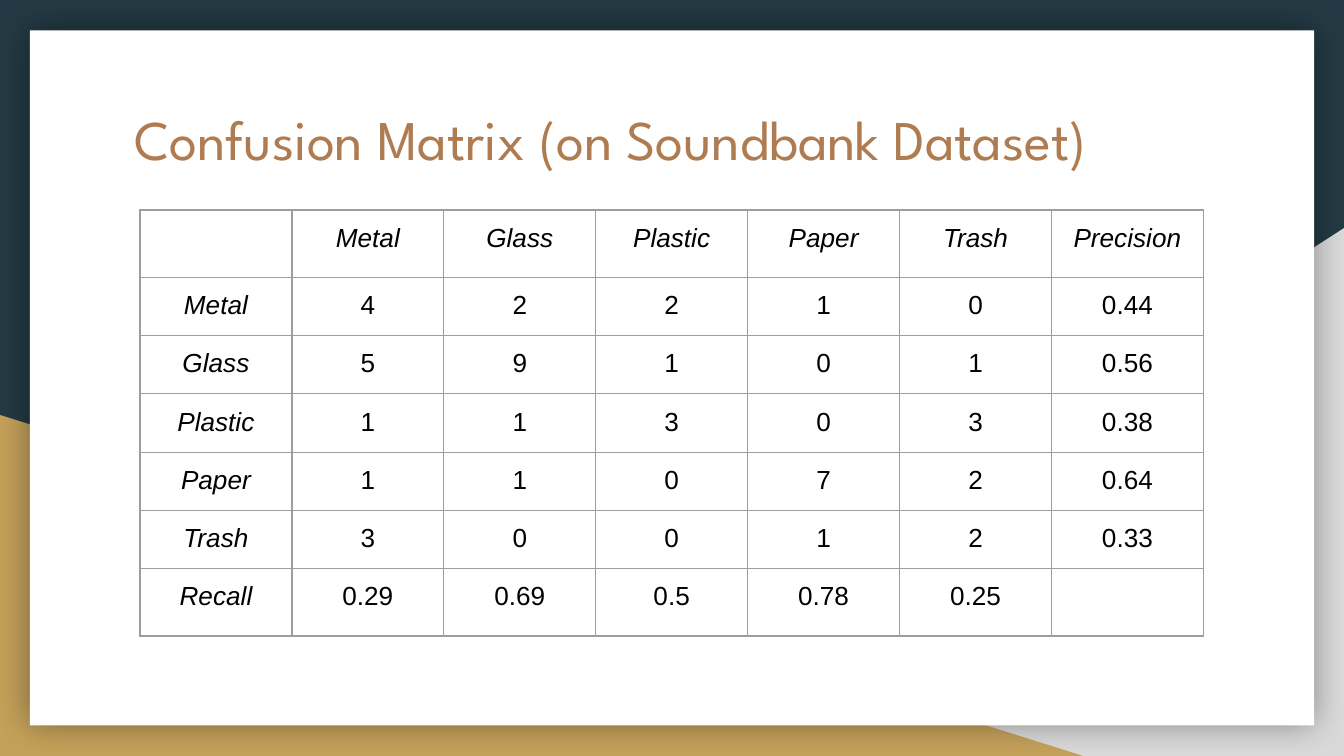
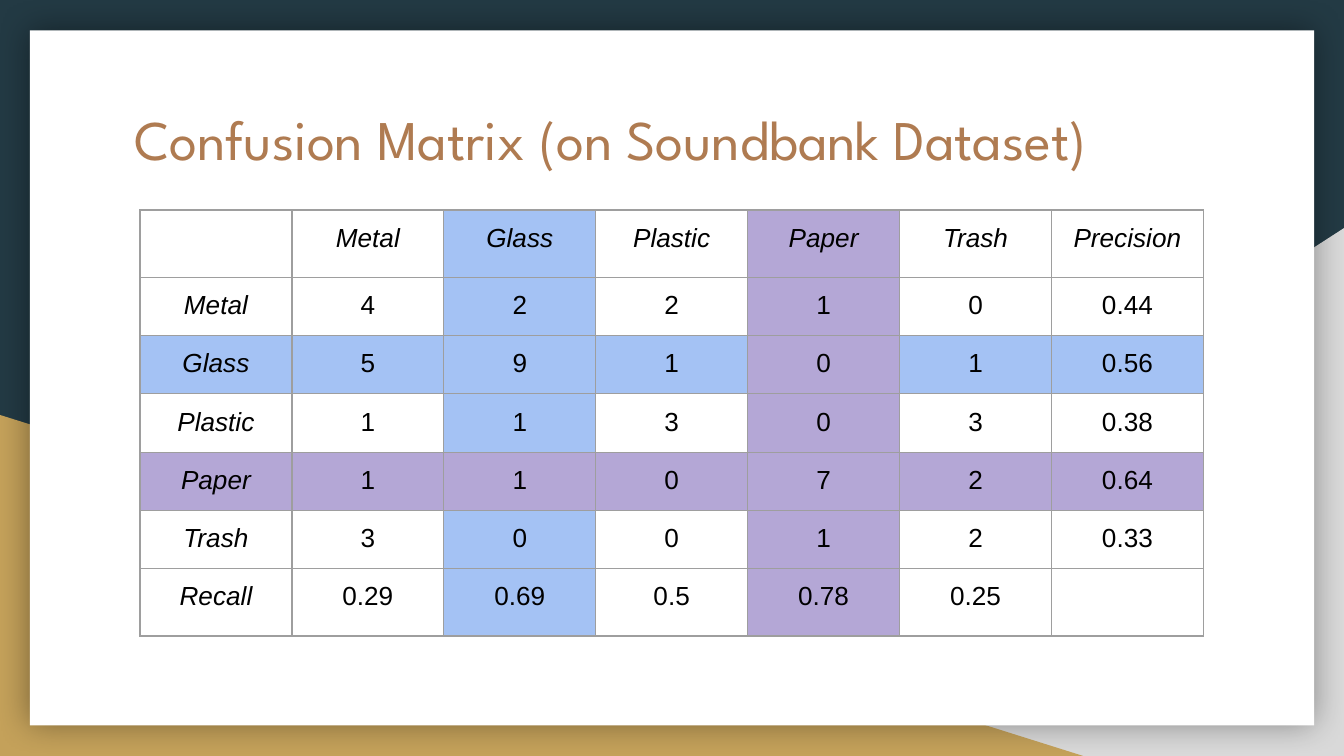
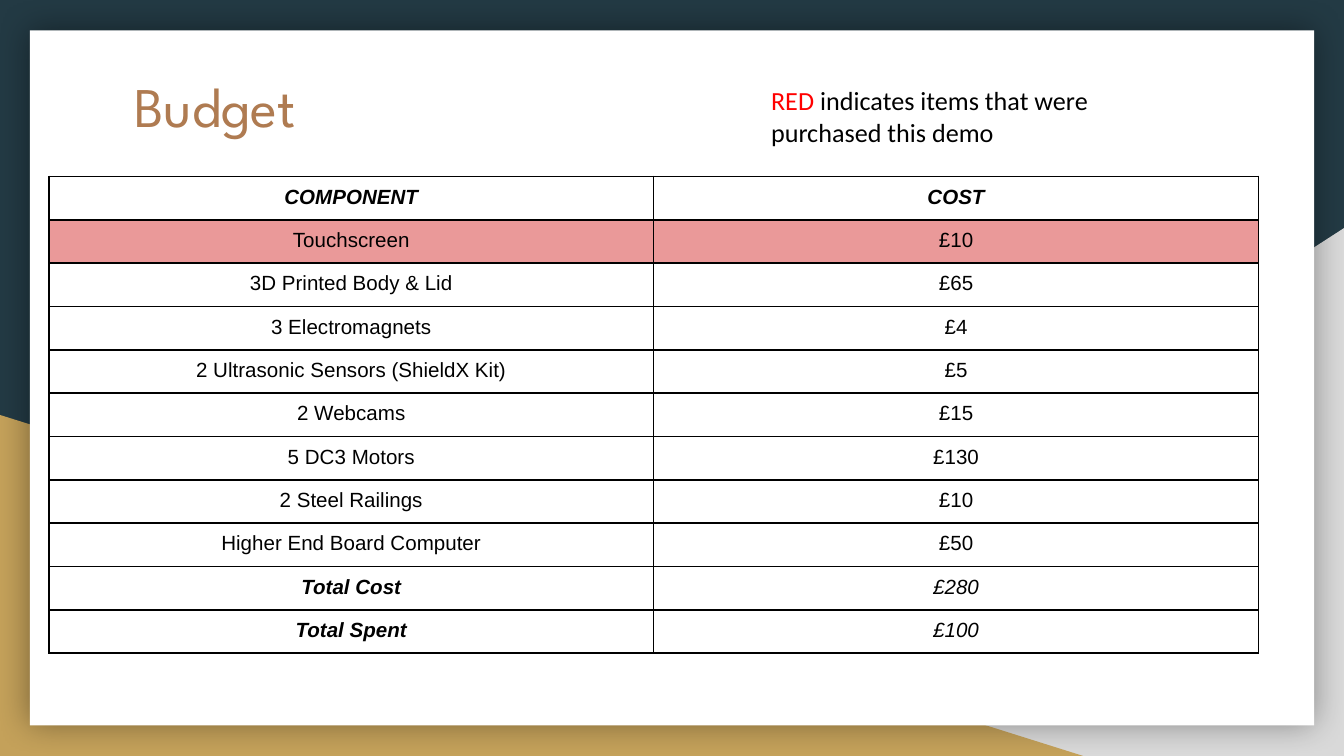
"""Build a three-slide deck with two confusion matrices and a budget."""
from dataclasses import dataclass

from lxml.etree import SubElement
from pptx import Presentation
from pptx.dml.color import RGBColor
from pptx.enum.shapes import MSO_SHAPE
from pptx.enum.text import MSO_ANCHOR, PP_ALIGN
from pptx.oxml.ns import qn
from pptx.util import Pt

MATRIX_TITLE = "Confusion Matrix (on Soundbank Dataset)"
MATRIX = [
    ("", "Metal", "Glass", "Plastic", "Paper", "Trash", "Precision"),
    ("Metal", "4", "2", "2", "1", "0", "0.44"),
    ("Glass", "5", "9", "1", "0", "1", "0.56"),
    ("Plastic", "1", "1", "3", "0", "3", "0.38"),
    ("Paper", "1", "1", "0", "7", "2", "0.64"),
    ("Trash", "3", "0", "0", "1", "2", "0.33"),
    ("Recall", "0.29", "0.69", "0.5", "0.78", "0.25", ""),
]
BUDGET_TITLE = "Budget"
BUDGET = [
    ("COMPONENT", "COST"),
    ("Touchscreen", "£10"),
    ("3D Printed Body & Lid", "£65"),
    ("3 Electromagnets", "£4"),
    ("2 Ultrasonic Sensors (ShieldX Kit)", "£5"),
    ("2 Webcams", "£15"),
    ("5 DC3 Motors", "£130"),
    ("2 Steel Railings", "£10"),
    ("Higher End Board Computer", "£50"),
    ("Total Cost", "£280"),
    ("Total Spent", "£100"),
]
PURCHASED = {"Touchscreen"}
NOTE = [("RED ", "red"), ("indicates items that were purchased this demo", "black")]


@dataclass(frozen=True)
class Theme:
    """Colours, fonts and type sizes."""
    navy: str = "233A44"
    grey: str = "D9D9D9"
    gold: str = "C4A15A"
    white: str = "FFFFFF"
    black: str = "000000"
    red: str = "FF0000"
    bronze: str = "AF7B51"
    rule: str = "9E9E9E"
    blue: str = "A4C2F4"
    purple: str = "B4A7D6"
    pink: str = "EA9999"
    title_font: str = "League Spartan"
    table_font: str = "Arial"
    note_font: str = "Calibri"
    title_size: float = 30
    body_size: float = 14
    small_size: float = 11


THEME = Theme()
HIGHLIGHTS = {"Glass": THEME.blue, "Paper": THEME.purple}
BACKDROP = [
    (MSO_SHAPE.RIGHT_TRIANGLE, (282.2, 122.2, 437.8, 282.8), THEME.grey, True),
    (MSO_SHAPE.RIGHT_TRIANGLE, (0, 222.3, 580.3, 182.7), THEME.gold, False),
    (MSO_SHAPE.RECTANGLE, (16, 16.2, 688, 372.4), THEME.white, False),
]


def points(values):
    return [Pt(value) for value in values]


def add_span(para, text, color, **formats):
    span = para.add_run()
    span.text = text
    for name, value in formats.items():
        setattr(span.font, name, value)
    span.font.color.rgb = RGBColor.from_string(color)


def add_box(page, area, spans, **formats):
    frame = page.shapes.add_textbox(*points(area)).text_frame
    settings = {"word_wrap": True, "vertical_anchor": MSO_ANCHOR.TOP}
    settings |= {f"margin_{side}": Pt(7.2) for side in ("left", "top", "right", "bottom")}
    for name, value in settings.items():
        setattr(frame, name, value)
    for text, color in spans:
        add_span(frame.paragraphs[0], text, color, **formats)


def add_glow(shape):
    effects = shape._element.spPr.find(qn("a:effectLst"))
    shadow = SubElement(effects, qn("a:outerShdw"), blurRad=str(Pt(18)), dist="0",
                        algn="ctr", rotWithShape="0")
    color = SubElement(shadow, qn("a:srgbClr"), val=THEME.black)
    SubElement(color, qn("a:alpha"), val="40000")


def add_page(deck, title, title_top):
    page = deck.slides.add_slide(deck.slide_layouts[6])
    page.background.fill.solid()
    page.background.fill.fore_color.rgb = RGBColor.from_string(THEME.navy)
    for kind, area, color, flipped in BACKDROP:
        shape = page.shapes.add_shape(kind, *points(area))
        shape.shadow.inherit = False
        shape.fill.solid()
        shape.fill.fore_color.rgb = RGBColor.from_string(color)
        shape.line.fill.background()
        if flipped:
            shape._element.spPr.xfrm.set("flipH", "1")
    add_glow(shape)
    add_box(page, (64.8, title_top, 591, 75), [(title, THEME.bronze)],
            name=THEME.title_font, size=Pt(THEME.title_size))
    return page


def add_borders(cell, color, width):
    properties = cell._tc.get_or_add_tcPr()
    for side in ("lnL", "lnR", "lnT", "lnB"):
        line = SubElement(properties, qn(f"a:{side}"), w=str(Pt(width)))
        fill = SubElement(line, qn("a:solidFill"))
        SubElement(fill, qn("a:srgbClr"), val=color)


def add_grid(page, rows, origin, column_width, heights, inset, border, size, style):
    area = (*origin, column_width * len(rows[0]), sum(heights))
    table = page.shapes.add_table(len(rows), len(rows[0]), *points(area)).table
    table.first_row = table.horz_banding = False
    for column in table.columns:
        column.width = Pt(column_width)
    for row_index, values in enumerate(rows):
        table.rows[row_index].height = Pt(heights[row_index])
        for column_index, text in enumerate(values):
            cell = table.cell(row_index, column_index)
            for side in ("left", "top", "right", "bottom"):
                setattr(cell, f"margin_{side}", Pt(inset))
            add_borders(cell, *border)
            color, formats = style(row_index, column_index)
            cell.fill.solid()
            cell.fill.fore_color.rgb = RGBColor.from_string(color)
            para = cell.text_frame.paragraphs[0]
            para.alignment = PP_ALIGN.CENTER
            if text:
                add_span(para, text, THEME.black, name=THEME.table_font,
                         size=Pt(size), **formats)


def add_matrix_page(deck, highlights):
    def style(row, column):
        color = THEME.white
        for name, tint in highlights.items():
            if name in (MATRIX[row][0], MATRIX[0][column]):
                color = tint
        return color, {"italic": row == 0 or column == 0}

    page = add_page(deck, MATRIX_TITLE, 49)
    heights = [34.5] + [30.1] * (len(MATRIX) - 2) + [34.5]
    add_grid(page, MATRIX, (75, 112.5), 81.4, heights, 7.2,
             (THEME.rule, 0.75), THEME.body_size, style)


def add_budget_page(deck):
    def style(row, column):
        label = BUDGET[row][0]
        italic = row == 0 or label.startswith("Total")
        bold = italic and (row == 0 or column == 0)
        color = THEME.pink if label in PURCHASED else THEME.white
        return color, {"italic": italic, "bold": bold}

    page = add_page(deck, BUDGET_TITLE, 31)
    add_grid(page, BUDGET, (26.2, 94.5), 324, [22.25] * len(BUDGET), 5,
             (THEME.black, 1), THEME.small_size, style)
    spans = [(text, getattr(THEME, color)) for text, color in NOTE]
    add_box(page, (406, 38.2, 194.4, 39.6), spans,
            name=THEME.note_font, size=Pt(THEME.body_size))


def main():
    deck = Presentation()
    deck.slide_width, deck.slide_height = Pt(720), Pt(405)
    for highlights in ({}, HIGHLIGHTS):
        add_matrix_page(deck, highlights)
    add_budget_page(deck)
    deck.save("out.pptx")


if __name__ == "__main__":
    main()
